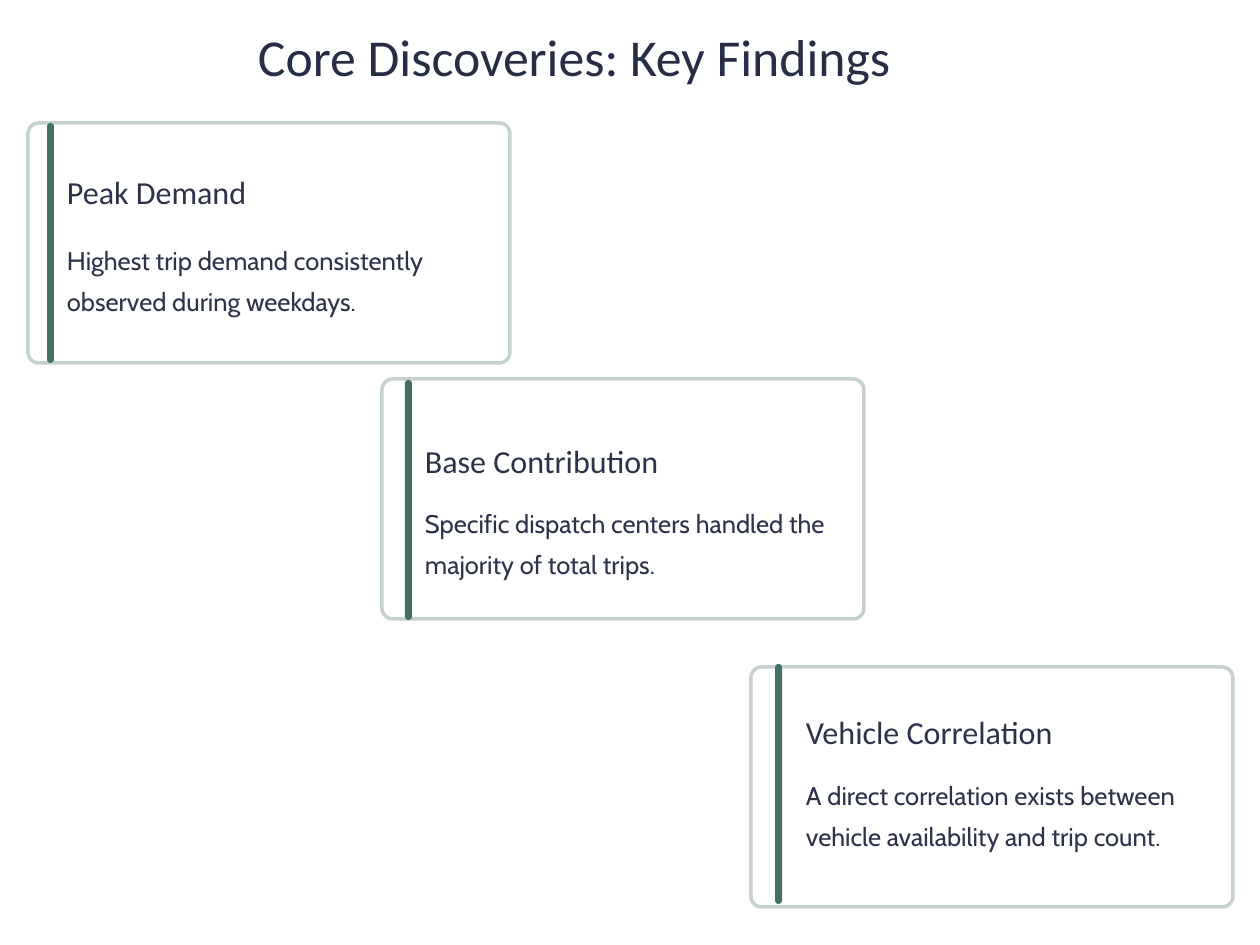
from dataclasses import dataclass

from pptx import Presentation
from pptx.dml.color import RGBColor as RGB
from pptx.enum.shapes import MSO_SHAPE as SHAPE
from pptx.enum.text import MSO_ANCHOR as ANCHOR, MSO_AUTO_SIZE as AUTO, PP_ALIGN as ALIGN
from pptx.util import Inches, Pt

PX = Inches(1) / 105  # one px in EMU


@dataclass(frozen=True)
class Theme:
    title: str = "272D45"
    text: str = "2C3249"
    card: str = "FFFFFF"
    border: str = "C5D2CF"
    accent: str = "437066"
    head_font: str = "Calibri"
    body_font: str = "Cabin"
    title_size: float = 35.5
    head_size: float = 22
    body_size: float = 17.5
    border_width: float = 2.4


THEME = Theme()
CARD_W, CARD_H, BAR_W, TEXT_W = 482, 240, 7, 410

# Card corner, bar corner, text left, heading top, body top, heading, body
FINDINGS = [
    ((28, 123), (47, 123), 67, 171, 234, "Peak Demand",
     "Highest trip demand consistently observed during weekdays."),
    ((382, 379), (405, 380), 425, 440, 497, "Base Contribution",
     "Specific dispatch centers handled the majority of total trips."),
    ((751, 667), (775, 664), 806, 711, 769, "Vehicle Correlation",
     "A direct correlation exists between vehicle availability and trip count."),
]


def emu(*lengths):
    return [round(n * PX) for n in lengths]


def write(sp, text, *, font, size, color, leading):
    tf = sp.text_frame
    tf.margin_left = tf.margin_right = tf.margin_top = tf.margin_bottom = 0
    tf.word_wrap, tf.auto_size = True, AUTO.NONE
    tf.vertical_anchor = ANCHOR.TOP
    p = tf.paragraphs[0]
    p.alignment, p.line_spacing = ALIGN.LEFT, Pt(leading)
    r = p.add_run()
    r.text = text
    r.font.name, r.font.size = font, Pt(size)
    r.font.color.rgb = RGB.from_string(color)


def add_title(s, text, box):
    sp = s.shapes.title
    sp.left, sp.top, sp.width, sp.height = emu(*box)
    write(sp, text, font=THEME.head_font, size=THEME.title_size,
          color=THEME.title, leading=44.5)


def add_text(s, text, box, **fmt):
    write(s.shapes.add_textbox(*emu(*box)), text, color=THEME.text, **fmt)


def add_round_rect(s, box, radius, fill, border=None):
    sp = s.shapes.add_shape(SHAPE.ROUNDED_RECTANGLE, *emu(*box))
    sp.adjustments[0] = radius
    sp.shadow.inherit = False
    sp.fill.solid()
    sp.fill.fore_color.rgb = RGB.from_string(fill)
    if border:
        sp.line.color.rgb = RGB.from_string(border)
        sp.line.width = Pt(THEME.border_width)
    else:
        sp.line.fill.background()


def add_finding(s, card, bar, left, head_top, body_top, head, body):
    # Frame and accent bar
    add_round_rect(s, (*card, CARD_W, CARD_H), 0.045, THEME.card, THEME.border)
    add_round_rect(s, (*bar, BAR_W, CARD_H), 0.5, THEME.accent)
    # Heading and description
    add_text(s, head, (left, head_top, TEXT_W, 40),
             font=THEME.head_font, size=THEME.head_size, leading=27.5)
    add_text(s, body, (left, body_top, TEXT_W, 96),
             font=THEME.body_font, size=THEME.body_size, leading=28.5)


def main():
    prs = Presentation()
    prs.slide_width, prs.slide_height = Inches(12), Inches(9)
    s = prs.slides.add_slide(prs.slide_layouts[5])  # title only
    add_title(s, "Core Discoveries: Key Findings", (258, 22, 700, 86))
    for finding in FINDINGS:
        add_finding(s, *finding)
    prs.save("out.pptx")


if __name__ == "__main__":
    main()
